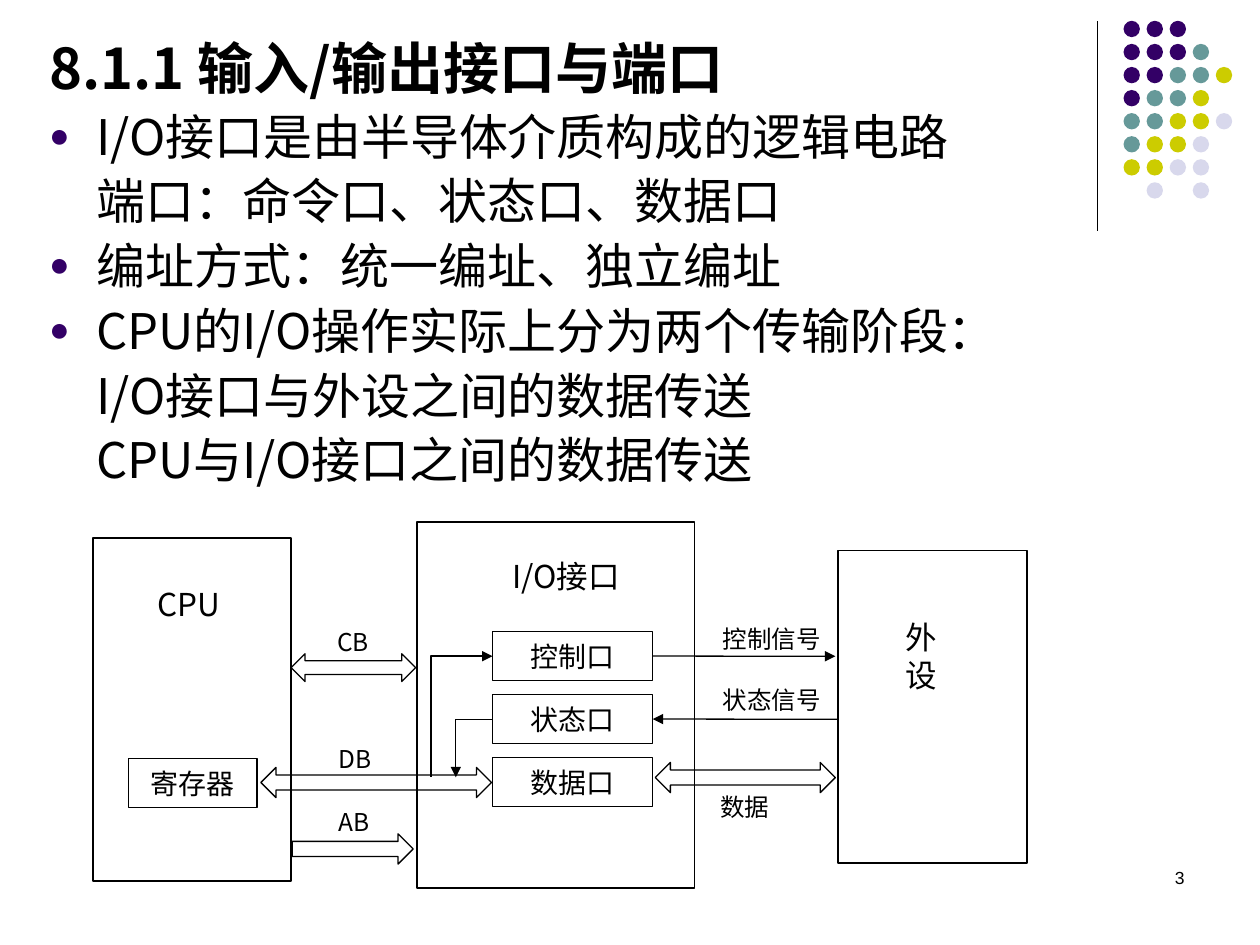
from dataclasses import dataclass

from lxml.etree import SubElement
from pptx import Presentation
from pptx.dml.color import RGBColor
from pptx.enum.shapes import MSO_CONNECTOR, MSO_SHAPE
from pptx.enum.text import MSO_ANCHOR, PP_ALIGN
from pptx.oxml.ns import qn
from pptx.util import Cm, Pt

COLORS = {
    "ink": "000000",
    "purple": "330066",
    "teal": "669999",
    "lime": "CCCC00",
    "lavender": "D8D8EC",
}
FONT = "Noto Sans CJK SC"
DOT_COLORS = {"P": "purple", "T": "teal", "L": "lime", "V": "lavender"}
DOT_ROWS = ["PPP", "PPPT", "PPTTL", "PTTL", "TTLLV", "TLLV", "LLVV", " V V"]
DOT_LEFT, DOT_TOP, DOT_PITCH, DOT_SIZE = 22.65, 0.42, 0.465, 0.33


@dataclass
class Block:
    left: float
    top: float
    width: float
    height: float
    text: str = ""
    line: float = 0.75
    kind: MSO_SHAPE = MSO_SHAPE.RECTANGLE


@dataclass
class Label:
    text: str
    left: float
    top: float
    width: float
    size: int = 14
    height: float = 0.99


UNITS = [
    Block(8.41, 10.52, 5.59, 7.39, line=1),
    Block(2.59, 15.29, 2.59, 0.99, "寄存器"),
    Block(1.88, 10.85, 3.99, 6.91, line=1),
    Block(16.89, 11.1, 3.81, 6.3, line=1),
]
PORTS = ["控制口", "状态口", "数据口"]
PORT_LEFT, PORT_TOP, PORT_PITCH = 9.93, 12.73, 1.27
BUSES = [
    Block(5.87, 13.18, 2.51, 0.56, kind=MSO_SHAPE.LEFT_RIGHT_ARROW),
    Block(5.26, 15.47, 4.65, 0.61, kind=MSO_SHAPE.LEFT_RIGHT_ARROW),
    Block(5.89, 16.81, 2.44, 0.61, kind=MSO_SHAPE.RIGHT_ARROW),
    Block(13.21, 15.37, 3.63, 0.61, kind=MSO_SHAPE.LEFT_RIGHT_ARROW),
]
LABELS = [
    Label("CPU", 2.92, 11.66, 2.21, 18),
    Label("I/O接口", 10.08, 11.1, 3.12, 18),
    Label("外\n设", 18.01, 12.34, 1.8, 18, 1.93),
    Label("CB", 6.55, 12.52, 1.19),
    Label("DB", 6.58, 14.88, 2.21),
    Label("AB", 6.58, 16.15, 1.19),
    Label("控制信号", 14.32, 12.45, 2.6),
    Label("状态信号", 14.32, 13.69, 2.6),
    Label("数据", 14.27, 15.85, 1.63),
]
TITLE = "8.1.1 输入/输出接口与端口"
BULLETS = [
    ["I/O接口是由半导体介质构成的逻辑电路", "端口：命令口、状态口、数据口"],
    ["编址方式：统一编址、独立编址"],
    [
        "CPU的I/O操作实际上分为两个传输阶段：",
        "I/O接口与外设之间的数据传送",
        "CPU与I/O接口之间的数据传送",
    ],
]


def color(name: str) -> RGBColor:
    return RGBColor.from_string(COLORS[name])


def add_span(para, text: str, size: float, bold: bool = False, font: str = FONT) -> None:
    span = para.add_run()
    span.text = text
    span.font.size = Pt(size)
    span.font.bold = bold
    span.font.name = font
    span.font.color.rgb = color("ink")
    SubElement(span.font._element, qn("a:ea"), typeface=font)


def add_bullet(para) -> None:
    properties = para._p.get_or_add_pPr()
    properties.set("marL", str(Cm(0.95)))
    properties.set("indent", str(Cm(-0.95)))
    bullet_color = SubElement(properties, qn("a:buClr"))
    SubElement(bullet_color, qn("a:srgbClr"), val=COLORS["purple"])
    SubElement(properties, qn("a:buSzPct"), val="70000")
    SubElement(properties, qn("a:buFont"), typeface="Arial")
    SubElement(properties, qn("a:buChar"), char="●")


def add_block(page, block: Block):
    shape = page.shapes.add_shape(
        block.kind, Cm(block.left), Cm(block.top), Cm(block.width), Cm(block.height)
    )
    shape.shadow.inherit = False
    shape.fill.background()
    shape.line.color.rgb = color("ink")
    shape.line.width = Pt(block.line)
    if block.text:
        frame = shape.text_frame
        frame.word_wrap = False
        frame.vertical_anchor = MSO_ANCHOR.MIDDLE
        frame.paragraphs[0].alignment = PP_ALIGN.CENTER
        add_span(frame.paragraphs[0], block.text, 16)
    return shape


def add_label(page, label: Label) -> None:
    box = page.shapes.add_textbox(
        Cm(label.left), Cm(label.top), Cm(label.width), Cm(label.height)
    )
    frame = box.text_frame
    frame.word_wrap = False
    for index, text in enumerate(label.text.split("\n")):
        para = frame.add_paragraph() if index else frame.paragraphs[0]
        add_span(para, text, label.size)


def add_line(page, start: tuple, end: tuple, arrow: str = "", bent: bool = False,
             width: float = 0.75):
    """Draw a line; arrow is "", "headEnd" (at start) or "tailEnd" (at end)."""
    kind = MSO_CONNECTOR.ELBOW if bent else MSO_CONNECTOR.STRAIGHT
    line = page.shapes.add_connector(kind, *map(Cm, start + end))
    line.line.color.rgb = color("ink")
    line.line.width = Pt(width)
    properties = line._element.spPr
    if bent:
        properties.find(qn("a:prstGeom")).set("prst", "bentConnector2")
    if arrow:
        SubElement(properties.find(qn("a:ln")), qn(f"a:{arrow}"), type="triangle")
    SubElement(properties, qn("a:effectLst"))
    return line


def add_dots(page) -> None:
    for row, letters in enumerate(DOT_ROWS):
        for column, letter in enumerate(letters):
            if letter == " ":
                continue
            dot = page.shapes.add_shape(
                MSO_SHAPE.OVAL, Cm(DOT_LEFT + column * DOT_PITCH),
                Cm(DOT_TOP + row * DOT_PITCH), Cm(DOT_SIZE), Cm(DOT_SIZE)
            )
            dot.shadow.inherit = False
            dot.fill.solid()
            dot.fill.fore_color.rgb = color(DOT_COLORS[letter])
            dot.line.fill.background()


def add_body(page) -> None:
    frame = page.shapes.add_textbox(Cm(0.74), Cm(0.41), Cm(23.19), Cm(9.73)).text_frame
    frame.word_wrap = True
    heading = frame.paragraphs[0]
    heading.line_spacing = 1.1
    add_span(heading, TITLE, 32, bold=True)
    for lines in BULLETS:
        para = frame.add_paragraph()
        add_bullet(para)
        para.line_spacing = 1.1
        for index, text in enumerate(lines):
            if index:
                para.add_line_break()
            add_span(para, text, 28)


def add_page_number(page) -> None:
    box = page.shapes.add_textbox(Cm(18.21), Cm(17.35), Cm(5.92), Cm(1.27))
    box.text_frame.word_wrap = True
    para = box.text_frame.paragraphs[0]
    para.alignment = PP_ALIGN.RIGHT
    add_span(para, "3", 10, font="Arial")


def add_diagram(page) -> None:
    for unit in UNITS:
        add_block(page, unit)
    control, status, _ = [
        add_block(page, Block(PORT_LEFT, PORT_TOP + row * PORT_PITCH, 3.23, 0.99, name))
        for row, name in enumerate(PORTS)
    ]
    for bus in BUSES:
        add_block(page, bus)
    for label in LABELS:
        add_label(page, label)
    add_line(page, (13.16, 13.23), (16.84, 13.23), "tailEnd").begin_connect(control, 3)
    add_line(page, (16.89, 14.5), (13.16, 14.5), "tailEnd").end_connect(status, 3)
    add_line(page, (PORT_LEFT, 14.5), (9.19, 15.67), "tailEnd", bent=True)
    add_line(page, (PORT_LEFT, 13.23), (8.69, 15.67), "headEnd", bent=True, width=1)


def main() -> None:
    deck = Presentation()
    deck.slide_width, deck.slide_height = Cm(25.4), Cm(19.05)
    page = deck.slides.add_slide(deck.slide_layouts[6])
    add_line(page, (22.12, 0.43), (22.12, 4.65))
    add_dots(page)
    add_page_number(page)
    add_body(page)
    add_diagram(page)
    deck.save("out.pptx")


if __name__ == "__main__":
    main()
